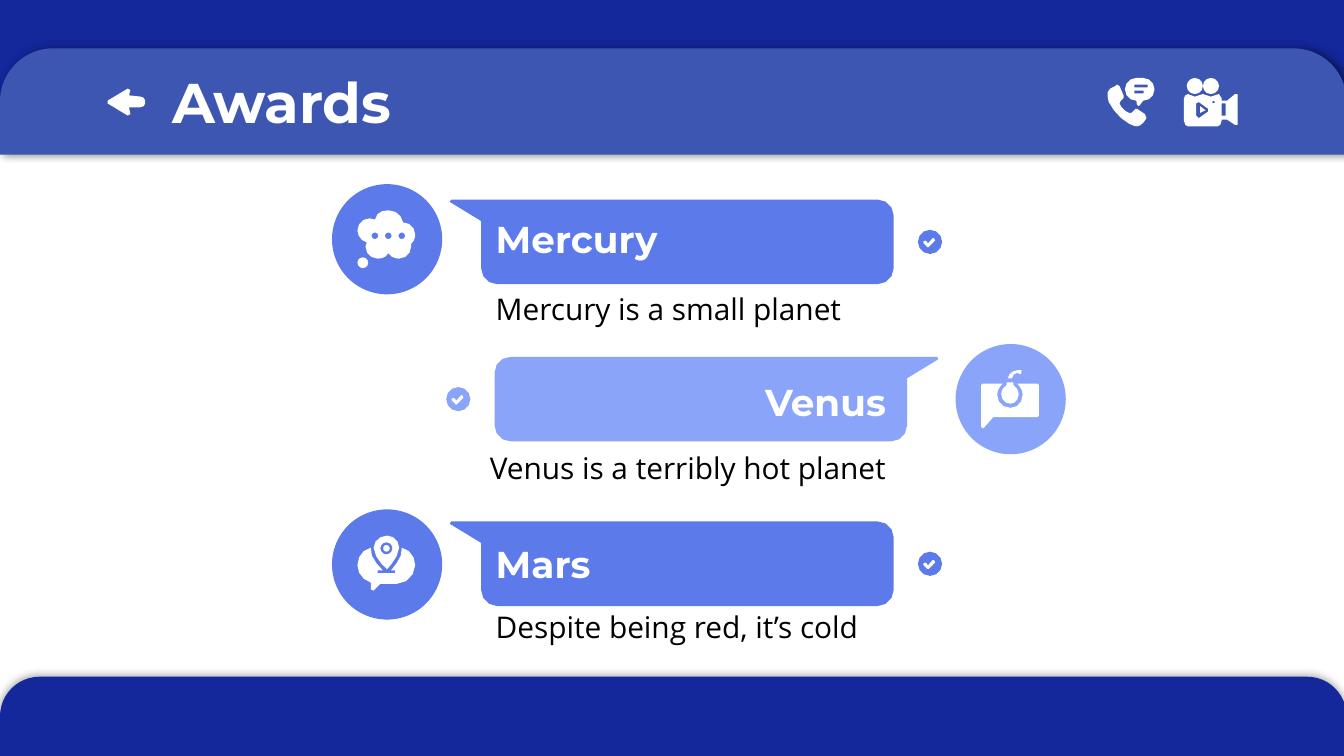
from dataclasses import dataclass
from math import cos, dist, radians, sin

from lxml import etree
from pptx import Presentation
from pptx.dml.color import RGBColor
from pptx.enum.shapes import MSO_SHAPE
from pptx.enum.text import MSO_ANCHOR, PP_ALIGN
from pptx.oxml.ns import qn
from pptx.util import Emu, Pt

PX = 914400 / 200
RECTANGLE = MSO_SHAPE.RECTANGLE
ROUND_TOP = MSO_SHAPE.ROUND_2_SAME_RECTANGLE
OVAL = MSO_SHAPE.OVAL
TOP, MIDDLE = MSO_ANCHOR.TOP, MSO_ANCHOR.MIDDLE
LEFT, RIGHT = PP_ALIGN.LEFT, PP_ALIGN.RIGHT
NAVY, HEADER_BLUE, BLUE, LIGHT_BLUE = "14279B", "3D56B2", "5C7AEA", "8AA4F9"
WHITE, BLACK = "FFFFFF", "000000"
HEADING_FONT, BODY_FONT = "Montserrat", "Open Sans"


def px(value):
    """Turn pixels into EMU."""
    return Emu(round(value * PX))


def color(hex_code):
    """Turn a hex string into a colour."""
    return RGBColor.from_string(hex_code)


def arc(x, y, radius, start=0, end=360):
    """List points along an arc, with angles running clockwise."""
    count = max(2, round(abs(end - start) / 360 * min(12, 4 + radius)))
    angles = [radians(start + (end - start) * i / count) for i in range(count + 1)]
    return [(x + radius * cos(a), y + radius * sin(a)) for a in angles]


def trace(steps):
    """Turn points and six-number cubic curves into a list of points."""
    points = []
    for step in steps:
        if len(step) == 2:
            points.append(step)
            continue
        x0, y0 = points[-1]
        x1, y1, x2, y2, x3, y3 = step
        count = min(3, 1 + int(dist((x0, y0), (x3, y3)) / 6))
        for t in (i / count for i in range(1, count + 1)):
            a, b, c, d = (1 - t) ** 3, 3 * t * (1 - t) ** 2, 3 * t * t * (1 - t), t ** 3
            points.append((a * x0 + b * x1 + c * x2 + d * x3, a * y0 + b * y1 + c * y2 + d * y3))
    return points


def paint(shape, fill):
    """Give a shape a plain fill with no line or shadow."""
    shape.fill.solid()
    shape.fill.fore_color.rgb = color(fill)
    shape.line.fill.background()
    shape.shadow.inherit = False


def add_outline(slide, left, top, contours, fill):
    """Draw one freeform, where inner contours cut holes."""
    builder = None
    for contour in contours:
        points = [(px(left + x), px(top + y)) for x, y in trace(contour)]
        if builder is None:
            builder = slide.shapes.build_freeform(*points[0])
        else:
            builder.move_to(*points[0])
        builder.add_line_segments(points[1:], close=True)
    paint(builder.convert_to_shape(), fill)


def add_icon(slide, left, top, parts):
    """Draw the white parts of an icon."""
    for contours in parts:
        add_outline(slide, left, top, contours, WHITE)


def add_panel(slide, kind, box, fill, opacity=0, direction=0):
    """Draw a filled preset shape, with a soft shadow when it has opacity."""
    shape = slide.shapes.add_shape(kind, *map(px, box))
    paint(shape, fill)
    if kind == ROUND_TOP:
        shape.adjustments[0], shape.adjustments[1] = 0.5, 0
    if opacity:
        effects = shape.element.spPr.find(qn("a:effectLst"))
        shadow = etree.SubElement(effects, qn("a:outerShdw"), blurRad=str(int(Pt(4.5))),
                                  dist=str(int(Pt(1.5))), dir=str(direction * 60000),
                                  algn="bl", rotWithShape="0")
        tint = etree.SubElement(shadow, qn("a:srgbClr"), val=BLACK)
        etree.SubElement(tint, qn("a:alpha"), val=str(opacity * 1000))


def write(shape, text, font_name, size, ink, align=LEFT, anchor=TOP):
    """Fill a text shape with one formatted run."""
    frame = shape.text_frame
    frame.word_wrap = True
    frame.vertical_anchor = anchor
    frame.margin_left = frame.margin_right = frame.margin_top = frame.margin_bottom = px(20)
    paragraph = frame.paragraphs[0]
    paragraph.alignment = align
    run = paragraph.add_run()
    run.text = text
    run.font.name = font_name
    run.font.size = Pt(size)
    run.font.bold = font_name == HEADING_FONT
    run.font.color.rgb = color(ink)


ARROW = [[[(0, 20), (0, 24), (30, 42), (34, 40), (32, 30), (48, 30), (54, 28), (56, 24), (56, 20),
           (54, 16), (50, 14), (32, 12), (34, 4), (30, 2)]]]
PHONE = [
    [[(16, 10), (14, 12), (6, 16), (0, 20, 2, 28, 4, 36), (10, 48, 22, 62, 34, 68),
      (38, 70, 42, 72, 46, 72), (50, 72, 52, 70, 56, 66), (60, 60), (58, 54), (46, 46),
      (44, 46), (38, 52), (34, 52), (28, 50, 22, 44, 20, 38), (22, 34), (26, 30), (26, 26), (20, 12)]],
    [arc(45, 17, 17, 90, 270) + arc(55, 17, 17, -90, 90) + [(49, 42), (46, 40)],
     [(42, 10), (62, 10), (62, 14), (42, 14)], [(42, 19), (56, 19), (56, 23), (42, 23)]]]
CAMERA = [
    [[(6, 24), (16, 28), (28, 24), (40, 28), (52, 24), (56, 30), (56, 34), (64, 34), (76, 24), (80, 24),
      (80, 70), (76, 70), (64, 62), (56, 62), (56, 64), (54, 70), (50, 72), (6, 72),
      (2, 70), (0, 64), (0, 30), (2, 26)],
     arc(44, 36, 2), [(56, 38), (62, 38), (62, 56), (56, 56)],
     [(18, 38), (22, 36), (36, 46), (36, 50), (22, 60), (18, 56)]],
    [[(24, 42), (24, 52), (32, 48)]], [arc(16, 12, 12)], [arc(40, 12, 12)]]
CLOUD = [
    [arc(8, 78, 8)],
    [[(46, 0), (36, 0, 28, 4, 26, 14), (18, 12), (8, 12, 0, 20, 0, 30),
      (0, 38, 6, 46, 14, 48), (12, 54), (12, 64, 20, 72, 30, 72),
      (38, 72, 42, 70, 46, 64), (50, 70, 56, 72, 62, 72), (72, 72, 80, 64, 80, 54), (80, 50),
      (84, 46, 86, 42, 86, 36), (86, 26, 78, 18, 68, 18), (66, 8, 58, 0, 46, 0)],
     *[arc(x, 38, 5) for x in (26, 46, 66)]]]
BOMB = [
    [[(54, 0), (48, 0, 40, 6, 40, 12), (46, 12), (46, 8, 50, 4, 54, 4), (58, 6), (60, 4), (60, 0)]],
    [[(38, 18), (38, 22), (36, 24), (32, 26, 30, 32, 30, 36), (30, 44, 36, 50, 44, 50),
      (50, 50, 56, 44, 56, 36), (56, 32, 54, 26, 50, 24), (48, 22), (48, 18)]],
    [[(2, 20), (0, 22), (0, 84), (2, 86), (4, 86), (18, 70), (84, 70), (86, 68), (86, 22), (84, 20),
      (54, 20), (58, 24, 62, 30, 62, 36), (62, 48, 54, 56, 44, 56), (32, 56, 24, 48, 24, 36),
      (24, 30, 28, 24, 32, 20)]]]
PIN = [
    [[(44, 0), (34, 0, 24, 8, 24, 18), (24, 30, 38, 46, 44, 50), (48, 46, 62, 30, 62, 18),
      (62, 8, 54, 0, 44, 0)], arc(43, 19, 9)],
    [arc(43, 19, 5)],
    [[(20, 18), (8, 20, 0, 32, 0, 44), (0, 56, 8, 66, 20, 70), (20, 80), (24, 82),
      (34, 72), (58, 72), (74, 72, 86, 58, 86, 44), (86, 32, 78, 20, 66, 18), (68, 30, 58, 42, 50, 52),
      (56, 52), (56, 56), (30, 56), (30, 52), (38, 52), (28, 42, 18, 30, 20, 18)]]]
BADGE = [arc(18, 18, 18), [(24, 12), (26, 16), (16, 26), (14, 26), (8, 20), (8, 17), (12, 16),
                           (15, 20), (22, 12)]]
BUBBLE = ([(2, 0), (0, 2), (0, 4), (46, 32)] + arc(70, 102, 24, 180, 90) + arc(636, 102, 24, 90, 0)
          + arc(636, 24, 24, 0, -90))


@dataclass
class Award:
    """Wording, icon and part offsets of one award."""
    name: str
    detail: str
    icon: list
    box: tuple
    disc: tuple
    name_at: tuple
    detail_box: tuple
    mirrored: bool = False


AWARDS = [
    Award("Mercury", "Mercury is a small planet", CLOUD, (670, 297, 660, 126),
          (-176, -23), (48, 5), (48, 113, 684, 98)),
    Award("Venus", "Venus is a terribly hot planet", BOMB, (736, 531, 660, 126),
          (686, -19), (106, 13), (-82, 119, 684, 92), True),
    Award("Mars", "Despite being red, it’s cold", PIN, (670, 776, 660, 126),
          (-176, -18), (48, 10), (48, 110, 684, 92)),
]


def add_award(slide, award):
    """Place a bubble, badge, icon and wording relative to the bubble box."""
    left, top, width, _ = award.box
    fill, align = (LIGHT_BLUE, RIGHT) if award.mirrored else (BLUE, LEFT)
    bubble = [(width - x, y) for x, y in BUBBLE] if award.mirrored else BUBBLE
    add_outline(slide, left, top, [bubble], fill)
    badge_left = -72 if award.mirrored else width + 36
    add_outline(slide, left + badge_left, top + 45, BADGE, fill)
    disc_left, disc_top = left + award.disc[0], top + award.disc[1]
    add_panel(slide, OVAL, (disc_left, disc_top, 164, 164), fill)
    add_icon(slide, disc_left + 38, disc_top + 39, award.icon)
    x, y = award.name_at
    name = slide.shapes.add_textbox(*map(px, (left + x, top + y, 496, 106)))
    write(name, award.name, HEADING_FONT, 20, WHITE, align)
    x, y, detail_width, detail_height = award.detail_box
    detail = slide.shapes.add_textbox(*map(px, (left + x, top + y, detail_width, detail_height)))
    write(detail, award.detail, BODY_FONT, 16, BLACK, align, MIDDLE)


def add_header(slide, left, top, width):
    """Place the header bands, title and icons."""
    add_panel(slide, RECTANGLE, (left, top - 2, width, 204), NAVY)
    add_panel(slide, ROUND_TOP, (left, top + 72, width, 158), HEADER_BLUE, 50)
    title = slide.shapes.title
    title.left, title.top, title.width, title.height = map(px, (left + 236, top + 80, 1606, 126))
    write(title, "Awards", HEADING_FONT, 30, WHITE)
    slide.shapes.element.append(title.element)
    for x, y, icon in ((160, 130, ARROW), (1646, 116, PHONE), (1762, 116, CAMERA)):
        add_icon(slide, left + x, top + y, icon)


def main():
    """Build and save the awards slide."""
    presentation = Presentation()
    presentation.slide_width, presentation.slide_height = px(2000), px(1125)
    slide = presentation.slides.add_slide(presentation.slide_layouts[5])
    add_panel(slide, ROUND_TOP, (0, 1007, 2004, 118), NAVY, 32, 237)
    add_header(slide, 0, 0, 2004)
    for award in AWARDS:
        add_award(slide, award)
    presentation.save("out.pptx")


if __name__ == "__main__":
    main()
